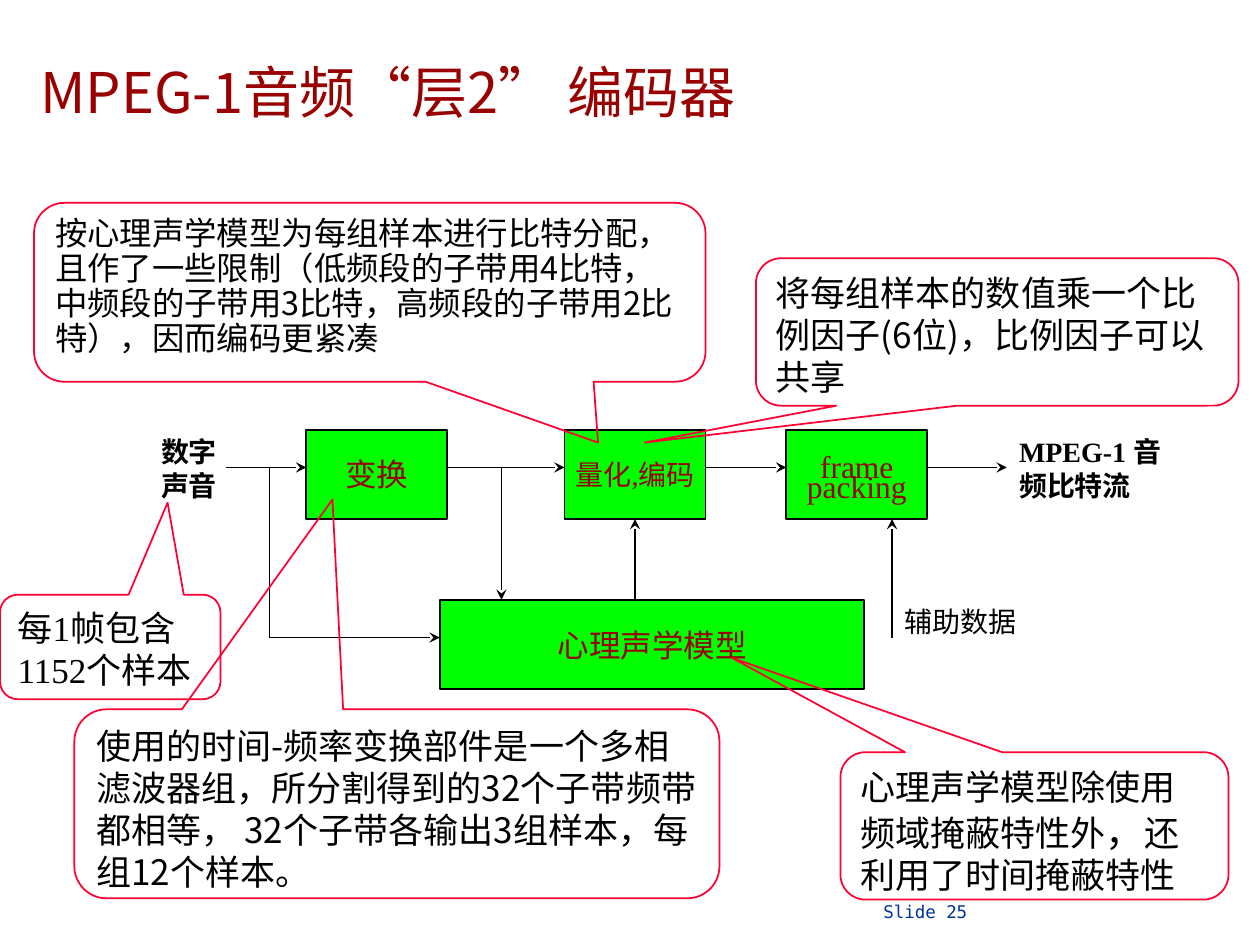
import pptx
import pptx.util
import pptx.dml.color
import pptx.enum.shapes
import pptx.enum.text
import pptx.oxml
import pptx.oxml.ns
from lxml import etree

Inches = pptx.util.Inches
Pt = pptx.util.Pt
RGBColor = pptx.dml.color.RGBColor
MSO_SHAPE = pptx.enum.shapes.MSO_SHAPE
PP_ALIGN = pptx.enum.text.PP_ALIGN
MSO_ANCHOR = pptx.enum.text.MSO_ANCHOR
qn = pptx.oxml.ns.qn

GREEN = RGBColor(0x00, 0xFF, 0x00)
DARK_RED = RGBColor(0x99, 0x00, 0x00)
CRIMSON = RGBColor(0xFF, 0x00, 0x33)
BLACK = RGBColor(0x00, 0x00, 0x00)
BLUE = RGBColor(0x00, 0x33, 0x99)
SERIF = "Times New Roman"
SANS = "Noto Sans CJK SC"
MONO = "DejaVu Sans Mono"


def format_run(run, size, font, color, bold=False):
    run.font.size = Pt(size)
    run.font.name = font
    run.font.bold = bold
    run.font.color.rgb = color
    etree.SubElement(run.font._element, qn("a:ea")).set("typeface", SANS)


def write_text(shape, text, size, font, color, bold=False, align=PP_ALIGN.LEFT,
               anchor=MSO_ANCHOR.TOP, wrap=True, margins=(0.1, 0.05)):
    frame = shape.text_frame
    frame.text = text
    frame.word_wrap = wrap
    frame.vertical_anchor = anchor
    frame.margin_left = frame.margin_right = Inches(margins[0])
    frame.margin_top = frame.margin_bottom = Inches(margins[1])
    for paragraph in frame.paragraphs:
        paragraph.alignment = align
        for run in paragraph.runs:
            format_run(run, size, font, color, bold)
    return frame


def add_text(slide, box, text, size, font, color, **options):
    shape = slide.shapes.add_textbox(*map(Inches, box))
    return write_text(shape, text, size, font, color, **options)


def add_block(slide, box, text, size=18):
    shape = slide.shapes.add_shape(MSO_SHAPE.RECTANGLE, *map(Inches, box))
    shape.shadow.inherit = False
    shape.fill.solid()
    shape.fill.fore_color.rgb = GREEN
    shape.line.color.rgb = BLACK
    shape.line.width = Pt(1)
    write_text(shape, text, size, SERIF, DARK_RED, align=PP_ALIGN.CENTER,
               anchor=MSO_ANCHOR.MIDDLE, wrap=False)
    return shape


def add_line(slide, start, end, arrow="tailEnd"):
    connector = slide.shapes.add_connector(
        pptx.enum.shapes.MSO_CONNECTOR.STRAIGHT, *map(Inches, start + end))
    connector.line.color.rgb = BLACK
    connector.line.width = Pt(1)
    if arrow:
        line = connector.line._get_or_add_ln()
        etree.SubElement(line, qn("a:" + arrow)).set("type", "stealth")
    etree.SubElement(connector._element.spPr, qn("a:effectLst"))
    return connector


def add_callout(slide, box, pointer, text, size=20, font=SANS):
    shape = slide.shapes.add_shape(
        MSO_SHAPE.ROUNDED_RECTANGULAR_CALLOUT, *map(Inches, box))
    shape.shadow.inherit = False
    shape.adjustments[0], shape.adjustments[1] = pointer
    shape.adjustments[2] = 0.17
    shape.fill.background()
    shape.line.color.rgb = CRIMSON
    shape.line.width = Pt(1)
    return write_text(shape, text, size, font, BLACK)


def add_title(slide, box):
    frame = add_text(slide, box, "MPEG-1音频“层2” 编码器", 32, SANS, DARK_RED,
                     anchor=MSO_ANCHOR.MIDDLE, margins=(0.05, 0))
    frame.paragraphs[0].line_spacing = 0.9


def add_encoder(slide, left, top):
    def at(x, y):
        return left + x, top + y

    block_width, block_height = 1.12, 0.71
    block_top = 0.01
    block_bottom = block_top + block_height
    signal, model_top, model_input = 0.31, 1.36, 1.66
    block_lefts = [1.35, 3.4, 5.16]
    labels = [("变换", 18), ("量化,编码", 16), ("frame\npacking", 18)]

    blocks = [add_block(slide, at(x, block_top) + (block_width, block_height), text, size)
              for x, (text, size) in zip(block_lefts, labels)]
    blocks[2].text_frame.paragraphs[1].line_spacing = 0.45
    add_block(slide, at(2.41, model_top) + (3.37, block_height), "心理声学模型")

    starts = [0.71] + [x + block_width for x in block_lefts]
    ends = block_lefts + [6.91]
    for start, end in zip(starts, ends):
        add_line(slide, at(start, signal), at(end, signal))

    add_line(slide, at(2.9, signal), at(2.9, model_top))
    quantizer_control = add_line(slide, at(3.96, block_bottom), at(3.96, model_top), "headEnd")
    quantizer_control.begin_connect(blocks[1], 2)
    add_line(slide, at(6, block_bottom), at(6, model_input), "headEnd")
    add_line(slide, at(1.06, signal), at(1.06, model_input), None)
    add_line(slide, at(1.06, model_input), at(2.41, model_input))

    for box, text, bold, align in [
        (at(0, 0) + (0.84, 0.63), "数字声音", True, PP_ALIGN.CENTER),
        (at(6.91, 0) + (1.34, 0.63), "MPEG-1 音频比特流", True, PP_ALIGN.LEFT),
        (at(6, 1.35) + (1.48, 0.37), "辅助数据", False, PP_ALIGN.LEFT),
    ]:
        frame = add_text(slide, box, text, 16, SERIF, BLACK, bold=bold, align=align)
        frame.paragraphs[0].space_before = Pt(10)


def add_notes_around(slide):
    add_callout(slide, (0, 4.72, 1.75, 0.83), (0.26, -1.38),
                "每1帧包含1152个样本", font=SERIF)
    add_callout(slide, (0.59, 5.63, 5.12, 1.5), (-0.1, -1.61),
                "使用的时间-频率变换部件是一个多相滤波器组，所分割得到的32个子带频带都相等，"
                " 32个子带各输出3组样本，每组12个样本。")
    allocation = add_callout(
        slide, (0.27, 1.61, 5.33, 1.42), (0.34, 0.84),
        "按心理声学模型为每组样本进行比特分配，且作了一些限制（低频段的子带用4比特，"
        "中频段的子带用3比特，高频段的子带用2比特），因而编码更紧凑", 18.5)
    allocation.paragraphs[0].line_spacing = 0.9
    add_callout(slide, (6, 2.05, 3.83, 1.17), (-0.73, 0.75),
                "将每组样本的数值乘一个比例因子(6位)，比例因子可以共享")
    masking = add_callout(slide, (6.67, 5.97, 3.08, 1.17), (-0.78, -1.14),
                          "心理声学模型除使用频域掩蔽特性外")
    for text, size in [("，", 22), ("还利用了时间掩蔽特性", 20)]:
        run = masking.paragraphs[0].add_run()
        run.text = text
        format_run(run, size, SANS, BLACK)


def main():
    presentation = pptx.Presentation()
    presentation.slide_width = Inches(10)
    presentation.slide_height = Inches(7.5)
    slide = presentation.slides.add_slide(presentation.slide_layouts[6])
    add_text(slide, (6.42, 7.15, 3.58, 0.19), "\tSlide 25", 10, MONO, BLUE,
             margins=(0.09, 0))
    add_title(slide, (0.27, 0.52, 6.3, 0.48))
    add_encoder(slide, 1.08, 3.4)
    add_notes_around(slide)
    presentation.save("out.pptx")


if __name__ == "__main__":
    main()
